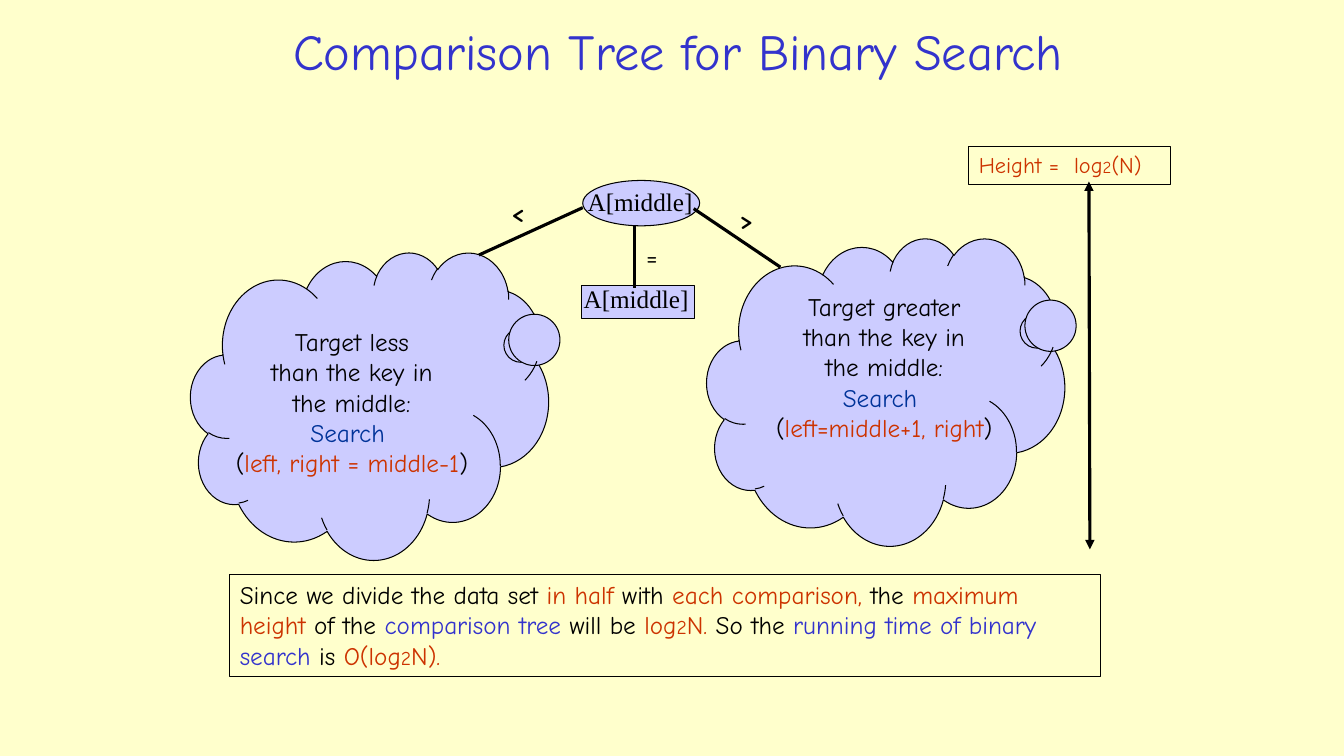
from lxml import etree
from pptx import Presentation
from pptx.dml.color import RGBColor
from pptx.enum.shapes import MSO_CONNECTOR, MSO_SHAPE
from pptx.enum.text import MSO_ANCHOR, PP_ALIGN
from pptx.oxml.ns import qn
from pptx.util import Inches, Pt

STRAIGHT = MSO_CONNECTOR.STRAIGHT
ELLIPSE, RECTANGLE = MSO_SHAPE.OVAL, MSO_SHAPE.RECTANGLE
CLOUD = MSO_SHAPE.CLOUD_CALLOUT
LEFT, CENTER = PP_ALIGN.LEFT, PP_ALIGN.CENTER
TOP, MIDDLE = MSO_ANCHOR.TOP, MSO_ANCHOR.MIDDLE

BLACK, LAVENDER, CREAM = "000000", "CCCCFF", "FFFFCC"
BLUE, NAVY, RED = "3333CC", "003399", "CC3300"
HAND, SERIF = "Comic Neue", "Times New Roman"


def color(value):
    return RGBColor.from_string(value)


def apply(target, values):
    for name, value in values.items():
        setattr(target, name, value)


class TreeSlide:
    def __init__(self, deck):
        self.slide = deck.slides.add_slide(deck.slide_layouts[5])
        self.shapes = self.slide.shapes
        self.style = {"name": HAND, "size": Pt(18), "bold": False}
        background = self.slide.background.fill
        background.solid()
        background.fore_color.rgb = color(CREAM)

    def set_text(self, box, paragraphs, align=LEFT, anchor=TOP, wrap=True, **style):
        frame = box.text_frame
        apply(frame, {"word_wrap": wrap, "vertical_anchor": anchor})
        for index, spans in enumerate(paragraphs):
            para = frame.add_paragraph() if index else frame.paragraphs[0]
            para.alignment = align
            for text, tint, *size in spans:
                span = para.add_run()
                span.text = text
                apply(span.font, self.style | style)
                span.font.color.rgb = color(tint)
                if size:
                    span.font.size = Pt(size[0])

    def title(self, text, *place):
        box = self.shapes.title
        apply(box, dict(zip(("left", "top", "width", "height"), map(Inches, place))))
        self.set_text(box, [[(text, BLUE)]], CENTER, MIDDLE, size=Pt(36))

    def text(self, paragraphs, *place, **layout):
        box = self.shapes.add_textbox(*map(Inches, place))
        self.set_text(box, paragraphs, **layout)

    def label(self, text, *place, **style):
        self.text([[(text, BLACK)]], *place, wrap=False, **style)

    def shape(self, kind, *place, fill=LAVENDER):
        shape = self.shapes.add_shape(kind, *map(Inches, place))
        shape.shadow.inherit = False
        if fill:
            shape.fill.solid()
            shape.fill.fore_color.rgb = color(fill)
        else:
            shape.fill.background()
        shape.line.color.rgb = color(BLACK)
        shape.line.width = Pt(0.75)
        return shape

    def framed(self, spans, *place, **style):
        self.set_text(self.shape(RECTANGLE, *place, fill=None), [spans], **style)

    def cloud(self, left, top):
        shape = self.shape(CLOUD, left, top, 3.55, 3.05)
        shape.adjustments[0] = 0.43
        shape.adjustments[1] = -0.2

    def branch(self, relation, call, *place):
        lines = [f"Target {relation}", "than the key in", "the middle:"]
        paragraphs = [[(line, BLACK)] for line in lines]
        paragraphs.append([("Search ", NAVY)])
        paragraphs.append([("(", BLACK), (call, RED), (")", BLACK)])
        self.text(paragraphs, *place, align=CENTER)

    def line(self, *ends, arrows=False):
        line = self.shapes.add_connector(STRAIGHT, *map(Inches, ends))
        line.line.color.rgb = color(BLACK)
        line.line.width = Pt(2.25)
        properties = line._element.spPr
        if arrows:
            for end in ("a:headEnd", "a:tailEnd"):
                etree.SubElement(properties.get_or_add_ln(), qn(end), type="triangle")
        etree.SubElement(properties, qn("a:effectLst"))


def main():
    deck = Presentation()
    apply(deck, {"slide_width": Inches(13.33), "slide_height": Inches(7.5)})
    tree = TreeSlide(deck)
    tree.title("Comparison Tree for Binary Search", 1.95, 0.16, 9.55, 0.67)

    tree.shape(ELLIPSE, 5.78, 1.79, 1.16, 0.45)
    tree.label("A[middle]", 5.73, 1.8, 1.24, 0.4, name=SERIF)
    tree.shape(RECTANGLE, 5.77, 2.83, 1.12, 0.33)
    tree.label("A[middle]", 5.69, 2.76, 1.24, 0.4, name=SERIF)
    tree.label("=", 6.31, 2.34, 0.33, 0.4)
    tree.line(6.29, 2.23, 6.29, 2.86)

    tree.cloud(1.89, 2.5)
    tree.branch("less", "left, right = middle-1", 2.05, 3.19, 2.88, 1.6)
    tree.cloud(7.01, 2.36)
    tree.branch("greater", "left=middle+1, right", 7.33, 2.84, 2.88, 1.6)
    tree.line(5.78, 2.06, 4.75, 2.53)
    tree.line(7.74, 2.65, 6.88, 2.07)

    tree.framed([
        ("Since we divide the data set", BLACK), (" in half ", RED),
        ("with", BLACK), (" each comparison, ", RED),
        ("the", BLACK), (" maximum height ", RED),
        ("of the ", BLACK), ("comparison tree ", BLUE),
        ("will be", BLACK), (" log", RED), ("2", RED, 14), ("N. ", RED),
        ("So the ", BLACK), ("running time of binary search", BLUE),
        (" is", BLACK), (" O(log", RED), ("2", RED, 14), ("N).", RED),
    ], 2.28, 5.7, 8.64, 1.01)

    tree.line(10.8, 1.8, 10.81, 5.45, arrows=True)
    tree.framed([("Height = ", RED), (" log", RED), ("2", RED, 12), ("(N)", RED)],
                9.61, 1.45, 2, 0.38, size=Pt(16))
    tree.label("<", 4.97, 1.91, 0.35, 0.4, bold=True)
    tree.label(">", 7.24, 1.98, 0.35, 0.4, bold=True)
    deck.save("out.pptx")


if __name__ == "__main__":
    main()
